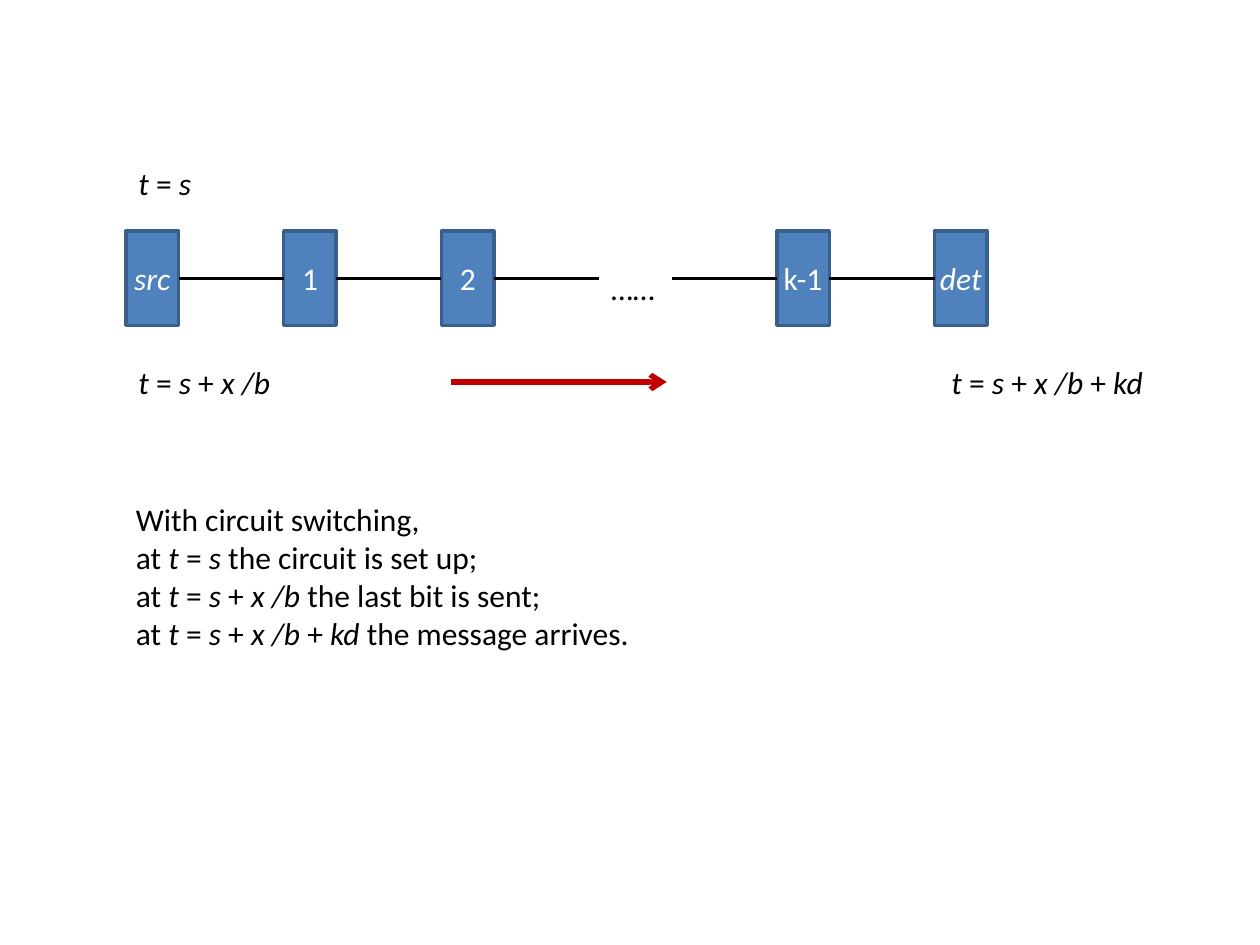
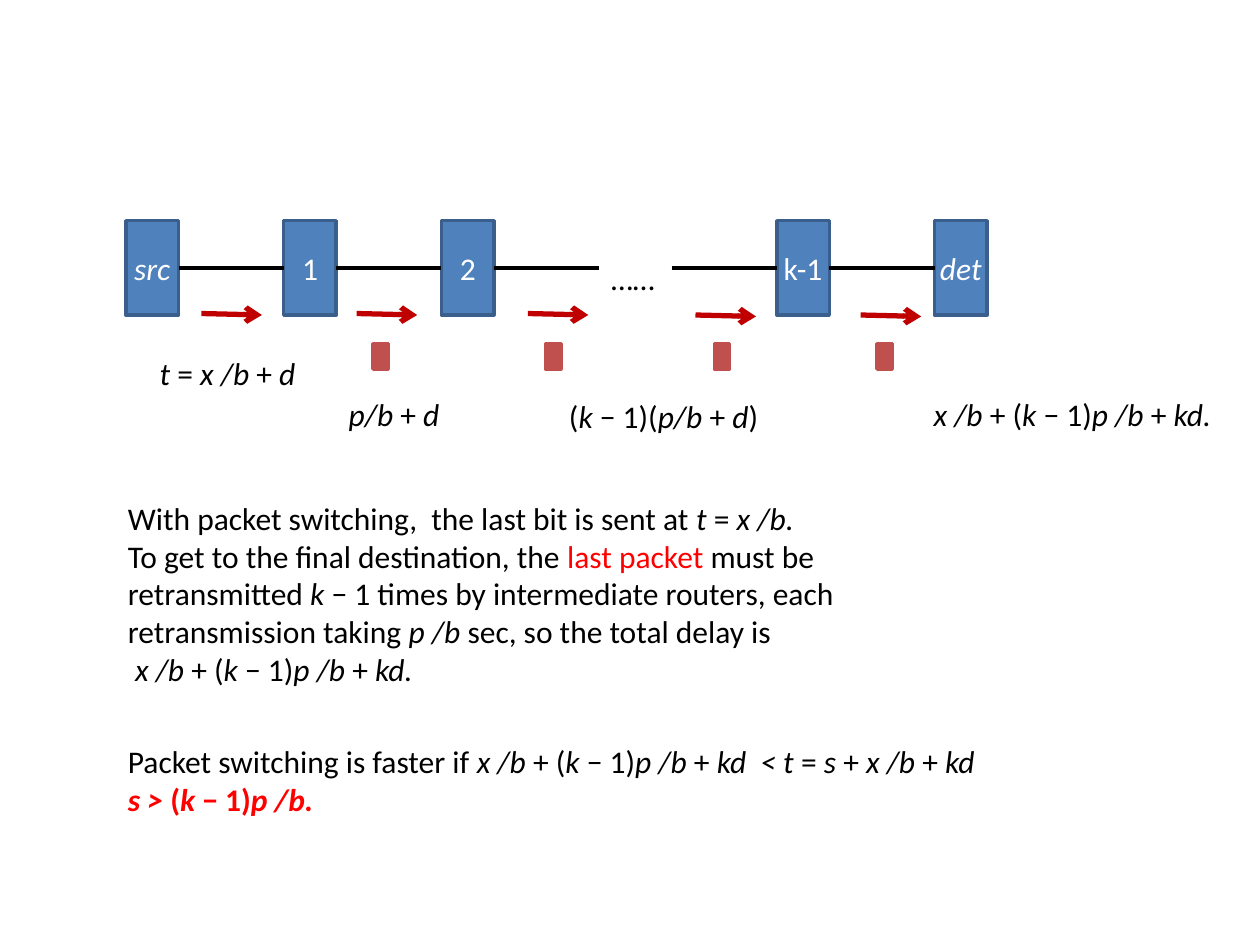
from lxml import etree
from pptx import Presentation
from pptx.dml.color import RGBColor
from pptx.enum.shapes import MSO_CONNECTOR, MSO_SHAPE
from pptx.enum.text import MSO_ANCHOR, MSO_AUTO_SIZE, PP_ALIGN
from pptx.oxml.ns import qn
from pptx.util import Cm, Pt

STRAIGHT = MSO_CONNECTOR.STRAIGHT
RECTANGLE = MSO_SHAPE.RECTANGLE
MIDDLE = MSO_ANCHOR.MIDDLE
CENTER = PP_ALIGN.CENTER
FIT_SHAPE = MSO_AUTO_SIZE.SHAPE_TO_FIT_TEXT
LEFT_SIDE, RIGHT_SIDE = 1, 3

FONT, FONT_SIZE = "Calibri", 18
BLACK, WHITE, RED = "000000", "FFFFFF", "FF0000"
NODE_FILL, NODE_LINE = "4F81BD", "3A5F8C"
ARROW_RED, PACKET_RED = "C00000", "C0504D"

# Markup in all texts: * toggles italic, ^ toggles bold, | toggles red.
# All lengths are centimetres.
NODES_BEFORE_GAP = ["*src*", "1", "2"]
NODES_AFTER_GAP = ["k-1", "*det*"]
FIRST_LEFT, SECOND_LEFT = 2.54, 15.66
NODE_WIDTH, NODE_HEIGHT, NODE_PITCH = 1.06, 1.9, 3.18
LINK_LENGTH = NODE_PITCH - NODE_WIDTH
ELLIPSIS_LEFT, ELLIPSIS_DROP, ELLIPSIS_WIDTH = 12.07, 0.64, 2.75
LABEL_HEIGHT = 1.02
PACKET_WIDTH, PACKET_HEIGHT = 0.31, 0.51
HOP_LENGTH, HOP_SLOPE = 1.22, 0.03

PACKET_DELAY = "*x /b *+ (*k *− 1)*p /b *+ *kd"

# labels: (text, left, top, width)
# arrows: (left, top, length, drop)
# packets: (left, top)
# notes: (left, top, width, height, paragraphs)
SLIDES = [
    {
        "node_top": 4.66,
        "labels": [
            ("*t *= *s*", 2.54, 3.18, 1.73),
            ("*t *= *s *+ *x /b*", 2.54, 7.2, 3.35),
            ("*t *= *s *+ *x /b *+ *kd*", 18.93, 7.2, 4.57),
        ],
        "arrows": [(9.1, 7.7, 4.34, 0)],
        "packets": [],
        "notes": [
            (2.49, 9.96, 12.7, 4.11, [
                "With circuit switching,",
                "at *t *= *s *the circuit is set up;",
                "at *t *= *s *+ *x /b *the last bit is sent;",
                "at *t *= *s *+ *x /b *+ *kd *the message arrives.",
            ]),
        ],
    },
    {
        "node_top": 4.45,
        "labels": [
            ("*t *= *x /b *+* d*", 2.97, 7.01, 3.43),
            ("*p/b *+ *d*", 6.78, 7.84, 2.51),
            ("(*k *− 1)(*p/b *+ *d*)", 11.22, 7.87, 4.52),
            (PACKET_DELAY + ".*", 18.57, 7.84, 6.32),
        ],
        "arrows": [(left, top, HOP_LENGTH, HOP_SLOPE) for left, top in
                   [(4.06, 6.32), (7.19, 6.32), (10.64, 6.32),
                    (14.02, 6.35), (17.35, 6.35)]],
        "packets": [(left, 6.93) for left in (7.52, 11.0, 14.4, 17.68)],
        "notes": [
            (2.33, 9.93, 16.26, 4.88, [
                "With packet switching,  the last bit is sent at *t *= *x /b.*",
                "To get to the final destination, the |last packet |must be "
                "retransmitted *k *− 1 times by intermediate routers, each "
                "retransmission taking *p /b *sec, so the total delay is",
                " " + PACKET_DELAY + ".*",
            ]),
            (2.33, 14.83, 21.59, 1.8, [
                "Packet switching is faster if " + PACKET_DELAY
                + "  < t *= *s *+ *x /b *+ *kd*",
                "|^*s > *(*k *− 1)*p /b.*^|",
            ]),
        ],
    },
]


def color(hex_string):
    return RGBColor.from_string(hex_string)


def add_marked_text(paragraph, text, text_color=BLACK):
    """Add one run for each stretch between the marks *, ^ and |."""
    active = {"*": False, "^": False, "|": False}

    def add_run(content):
        if content:
            run = paragraph.add_run()
            run.text = content
            run.font.name = FONT
            run.font.size = Pt(FONT_SIZE)
            run.font.italic = active["*"]
            run.font.bold = active["^"]
            run.font.color.rgb = color(RED if active["|"] else text_color)

    pending = ""
    for character in text:
        if character in active:
            add_run(pending)
            pending = ""
            active[character] = not active[character]
        else:
            pending += character
    add_run(pending)


def add_text(slide, left, top, width, height, paragraphs, wrap=True):
    box = slide.shapes.add_textbox(Cm(left), Cm(top), Cm(width), Cm(height))
    frame = box.text_frame
    frame.word_wrap = wrap
    frame.auto_size = FIT_SHAPE
    for index, text in enumerate(paragraphs):
        paragraph = frame.add_paragraph() if index else frame.paragraphs[0]
        add_marked_text(paragraph, text)


def add_rectangle(slide, left, top, width, height, fill, line):
    shape = slide.shapes.add_shape(
        RECTANGLE, Cm(left), Cm(top), Cm(width), Cm(height))
    shape.shadow.inherit = False
    shape.fill.solid()
    shape.fill.fore_color.rgb = color(fill)
    shape.line.color.rgb = color(line)
    shape.line.width = Pt(2)
    return shape


def add_node(slide, left, top, name):
    node = add_rectangle(slide, left, top, NODE_WIDTH, NODE_HEIGHT,
                         NODE_FILL, NODE_LINE)
    frame = node.text_frame
    frame.word_wrap = False
    frame.vertical_anchor = MIDDLE
    frame.paragraphs[0].alignment = CENTER
    add_marked_text(frame.paragraphs[0], name, WHITE)
    return node


def add_line(slide, left, top, length, drop=0, line_color=BLACK, width=2):
    line = slide.shapes.add_connector(
        STRAIGHT, Cm(left), Cm(top), Cm(left + length), Cm(top + drop))
    line.line.color.rgb = color(line_color)
    line.line.width = Pt(width)
    etree.SubElement(line._element.spPr, qn("a:effectLst"))
    return line


def add_arrow(slide, left, top, length, drop):
    arrow = add_line(slide, left, top, length, drop, ARROW_RED, 3)
    etree.SubElement(arrow.line._get_or_add_ln(), qn("a:tailEnd"), type="arrow")


def add_network(slide, top):
    """Draw the row of nodes, their links and the dots of the gap."""
    middle = top + NODE_HEIGHT / 2
    groups = [(FIRST_LEFT, NODES_BEFORE_GAP), (SECOND_LEFT, NODES_AFTER_GAP)]
    for group_left, names in groups:
        lefts = [group_left + index * NODE_PITCH for index in range(len(names))]
        nodes = [add_node(slide, left, top, name)
                 for left, name in zip(lefts, names)]
        for index, left in enumerate(lefts[:-1]):
            link = add_line(slide, left + NODE_WIDTH, middle, LINK_LENGTH)
            link.begin_connect(nodes[index], RIGHT_SIDE)
            link.end_connect(nodes[index + 1], LEFT_SIDE)
        if names is NODES_BEFORE_GAP:
            link = add_line(slide, lefts[-1] + NODE_WIDTH, middle, LINK_LENGTH)
            link.begin_connect(nodes[-1], RIGHT_SIDE)
        else:
            link = add_line(slide, group_left - LINK_LENGTH, middle, LINK_LENGTH)
            link.end_connect(nodes[0], LEFT_SIDE)
    add_text(slide, ELLIPSIS_LEFT, top + ELLIPSIS_DROP, ELLIPSIS_WIDTH,
             LABEL_HEIGHT, ["……"])


def main():
    presentation = Presentation()
    presentation.slide_width = Cm(25.4)
    presentation.slide_height = Cm(19.05)
    blank_layout = presentation.slide_layouts.get_by_name("Blank")
    for content in SLIDES:
        slide = presentation.slides.add_slide(blank_layout)
        add_network(slide, content["node_top"])
        for text, left, top, width in content["labels"]:
            add_text(slide, left, top, width, LABEL_HEIGHT, [text], wrap=False)
        for arrow in content["arrows"]:
            add_arrow(slide, *arrow)
        for left, top in content["packets"]:
            add_rectangle(slide, left, top, PACKET_WIDTH, PACKET_HEIGHT,
                          PACKET_RED, PACKET_RED)
        for note in content["notes"]:
            add_text(slide, *note)
    presentation.save("out.pptx")


if __name__ == "__main__":
    main()
